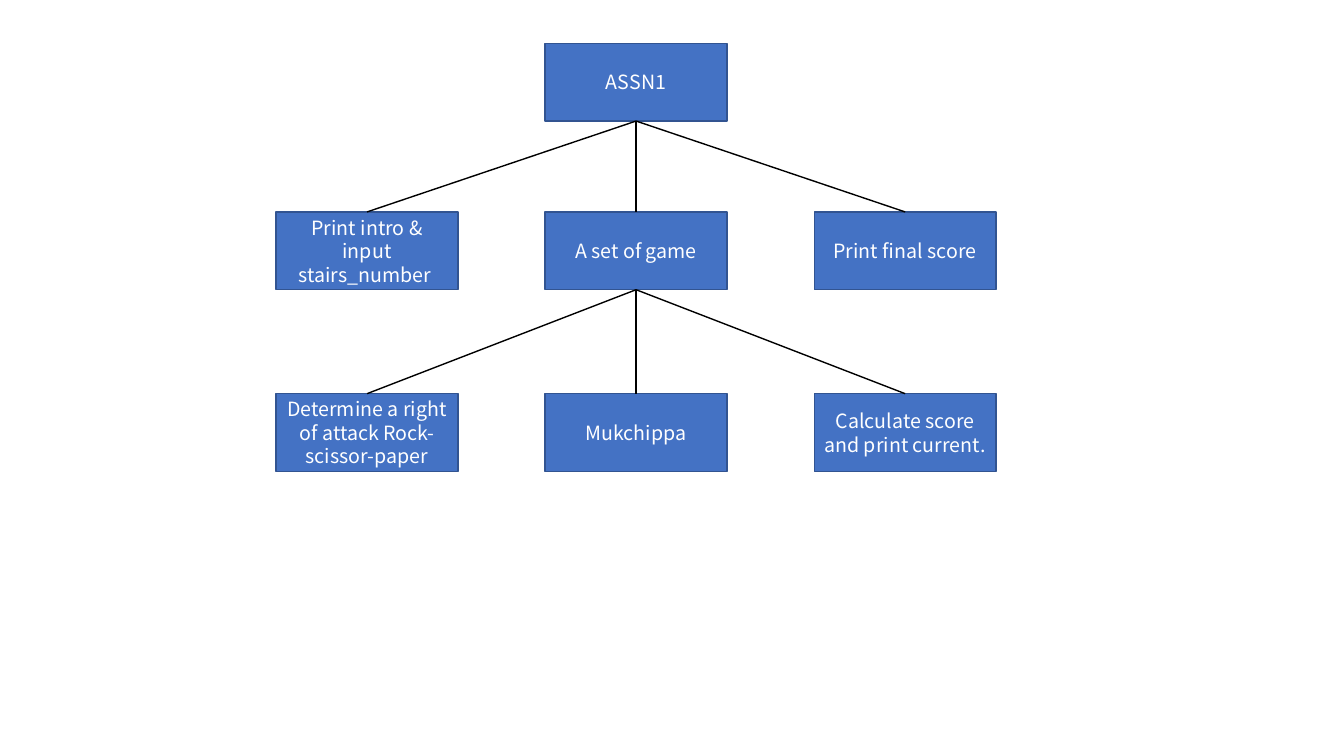
from dataclasses import dataclass

from pptx import Presentation
from pptx.dml.color import RGBColor as Rgb
from pptx.enum.shapes import MSO_CONNECTOR as Conn, MSO_SHAPE as Kind
from pptx.enum.text import MSO_ANCHOR as Anchor, PP_ALIGN as Align
from pptx.oxml.xmlchemy import OxmlElement as Element
from pptx.shapes.autoshape import Shape
from pptx.slide import Slide
from pptx.util import Cm, Pt


@dataclass(frozen=True)
class Theme:
    fill: Rgb = Rgb(0x44, 0x72, 0xC4)
    edge: Rgb = Rgb(0x32, 0x54, 0x91)
    link: Rgb = Rgb(0, 0, 0)
    ink: Rgb = Rgb(255, 255, 255)
    font: str = "Noto Sans CJK KR"
    size: float = 14
    lead: float = 16.8
    line: float = 1


@dataclass(frozen=True)
class Step:
    text: str
    col: int
    row: int
    top: str = ""


THEME = Theme()
LEFT, PITCH = 6.96, 6.78
TOPS = (1.09, 5.34, 9.92)
WIDTH, HEIGHT = 4.58, 1.96
ROOT, GAME = "ASSN1", "A set of game"
STEPS = (
    Step(ROOT, 1, 0),
    Step("Print intro & input stairs_number ", 0, 1, ROOT),
    Step(GAME, 1, 1, ROOT),
    Step("Print final score", 2, 1, ROOT),
    Step("Determine a right of attack Rock-scissor-paper", 0, 2, GAME),
    Step("Mukchippa", 1, 2, GAME),
    Step("Calculate score and print current.", 2, 2, GAME),
)


def write(box: Shape, text: str, *, size: float = THEME.size,
          color: Rgb = THEME.ink, align: Align = Align.CENTER) -> None:
    frame = box.text_frame
    frame.word_wrap = True
    frame.vertical_anchor = Anchor.MIDDLE
    para = frame.paragraphs[0]
    para.alignment = align
    para.line_spacing = Pt(THEME.lead)
    run = para.add_run()
    run.text = text
    run.font.name = THEME.font
    run.font.size = Pt(size)
    run.font.color.rgb = color


def draw(slide: Slide, step: Step) -> Shape:
    box = slide.shapes.add_shape(
        Kind.RECTANGLE, Cm(LEFT + step.col * PITCH), Cm(TOPS[step.row]),
        Cm(WIDTH), Cm(HEIGHT))
    box.shadow.inherit = False
    box.fill.solid()
    box.fill.fore_color.rgb = THEME.fill
    box.line.color.rgb = THEME.edge
    box.line.width = Pt(THEME.line)
    write(box, step.text)
    return box


def join(slide: Slide, start: Shape, end: Shape) -> None:
    link = slide.shapes.add_connector(Conn.STRAIGHT, 0, 0, 0, 0)
    link.begin_connect(start, 2)
    link.end_connect(end, 0)
    link.line.color.rgb = THEME.link
    link.line.width = Pt(THEME.line)
    link._element.spPr.append(Element("a:effectLst"))


def main() -> None:
    """Build the task breakdown tree and save it."""
    deck = Presentation()
    deck.slide_width, deck.slide_height = Cm(33.87), Cm(19.05)
    slide = deck.slides.add_slide(deck.slide_layouts[6])
    boxes = {step.text: draw(slide, step) for step in STEPS}
    for step in STEPS:
        if step.top:
            join(slide, boxes[step.top], boxes[step.text])
    deck.save("out.pptx")


if __name__ == "__main__":
    main()
